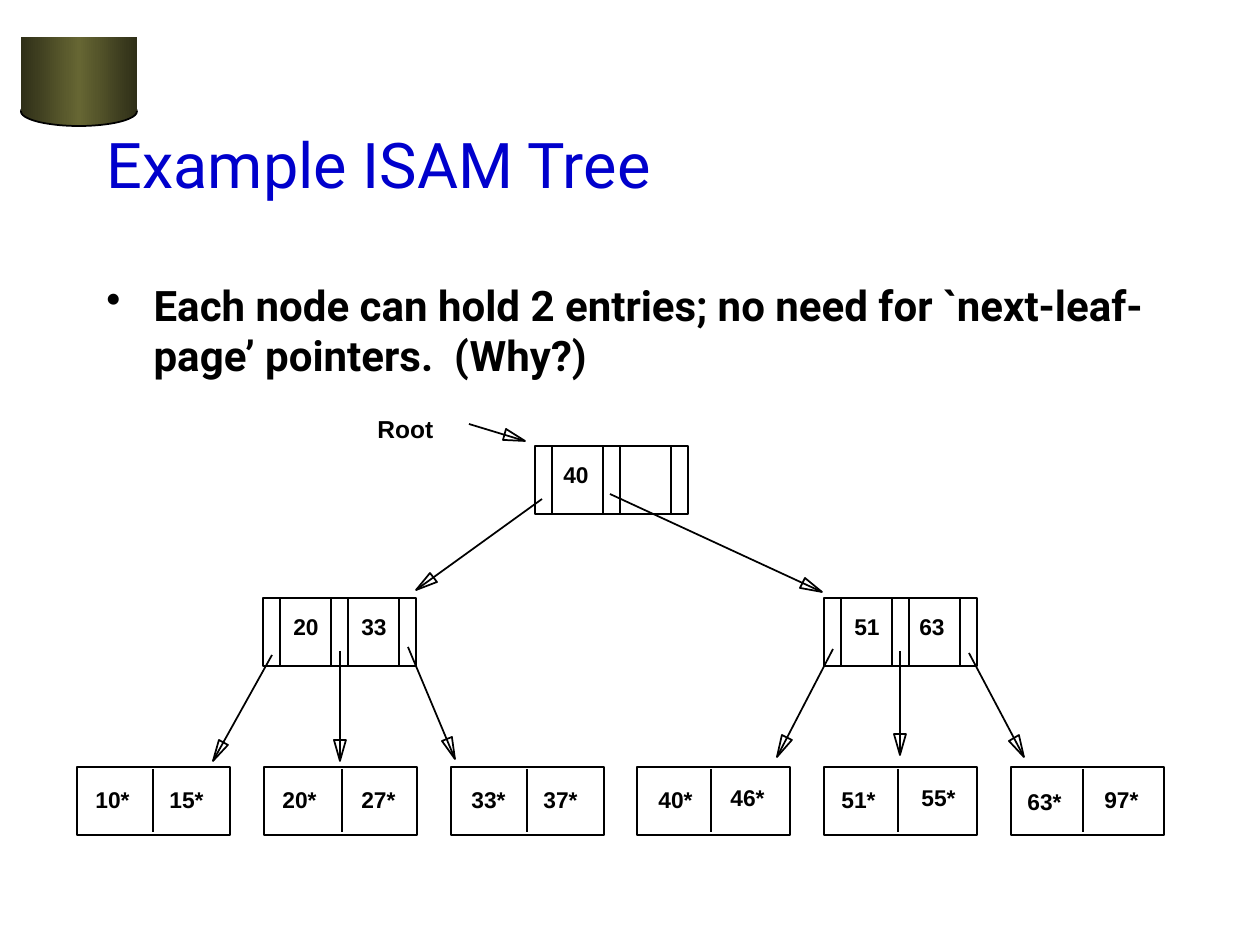
from copy import deepcopy
from math import hypot

from lxml import etree
from pptx import Presentation, util as u
from pptx.dml import color
from pptx.enum import shapes, text
from pptx.oxml import ns

SCALE = 914400 / 126


def px(length):
    return u.Emu(round(length * SCALE))


def rgb(value):
    return color.RGBColor.from_string(value)


class Diagram:
    ink = "000000"
    accent = "0000CC"
    edge, middle = "2F2F18", "666633"
    heading_font, label_font = "Roboto", "Arial"
    line_width = u.Pt(1)

    def __init__(self, slide):
        self.slide = slide
        self.shapes = slide.shapes

    def font(self, paragraph, name, size, hue, bold=False):
        paragraph.alignment = text.PP_ALIGN.LEFT
        font = paragraph.font
        font.name, font.size, font.bold = name, u.Pt(size), bold
        font.color.rgb = rgb(hue)

    def outline(self, shape):
        shape.line.color.rgb = rgb(self.ink)
        shape.line.width = self.line_width

    def title(self, words, x, y, w, h):
        title = self.shapes.title
        title.left, title.top, title.width, title.height = map(px, (x, y, w, h))
        frame = title.text_frame
        frame.text = words
        frame.auto_size = text.MSO_AUTO_SIZE.NONE
        frame.vertical_anchor = text.MSO_ANCHOR.MIDDLE
        self.font(frame.paragraphs[0], self.heading_font, 36, self.accent)

    def bullet(self, words, x, y, w, h):
        frame = self.shapes.add_textbox(*map(px, (x, y, w, h))).text_frame
        frame.word_wrap = True
        frame.text = words
        paragraph = frame.paragraphs[0]
        self.font(paragraph, self.heading_font, 24, self.ink, True)
        paragraph.space_before = u.Pt(6)
        props = paragraph._p.get_or_add_pPr()
        props.set("marL", "342900")
        props.set("indent", "-342900")
        mark = etree.Element(ns.qn("a:buChar"), char="•")
        props.find(ns.qn("a:defRPr")).addprevious(mark)

    def label(self, words, x, y, w, h=40, size=13):
        frame = self.shapes.add_textbox(*map(px, (x, y, w, h))).text_frame
        frame.word_wrap = False
        frame.auto_size = text.MSO_AUTO_SIZE.SHAPE_TO_FIT_TEXT
        frame.text = words
        self.font(frame.paragraphs[0], self.label_font, size, self.ink, True)

    def box(self, x, y, w, h):
        box = self.shapes.add_shape(shapes.MSO_SHAPE.RECTANGLE, *map(px, (x, y, w, h)))
        box.shadow.inherit = False
        box.fill.background()
        self.outline(box)

    def line(self, x1, y1, x2, y2):
        line = self.shapes.add_connector(
            shapes.MSO_CONNECTOR.STRAIGHT, *map(px, (x1, y1, x2, y2)))
        self.outline(line)
        etree.SubElement(line._element.spPr, ns.qn("a:effectLst"))

    def arrow(self, x1, y1, x2, y2, length=21.5, half=5.5):
        self.line(x1, y1, x2, y2)
        reach = hypot(x2 - x1, y2 - y1)
        dx, dy = (x2 - x1) / reach, (y2 - y1) / reach
        base_x, base_y = x2 - dx * length, y2 - dy * length
        builder = self.shapes.build_freeform(x2, y2, SCALE)
        builder.add_line_segments([
            (base_x - dy * half, base_y + dx * half),
            (base_x + dy * half, base_y - dx * half)])
        head = builder.convert_to_shape()
        head.shadow.inherit = False
        head.fill.background()
        self.outline(head)

    def metal(self, kind, x, y, w, h, outlined):
        part = self.shapes.add_shape(kind, *map(px, (x, y, w, h)))
        part.shadow.inherit = False
        part.fill.gradient()
        part.fill.gradient_angle = 0
        first, last = part.fill.gradient_stops
        for stop, position in ((first, 0), (last, 1)):
            stop.color.rgb = rgb(self.edge)
            stop.position = position
        first_gs = part._element.spPr.find(".//" + ns.qn("a:gs"))
        first_gs.addnext(deepcopy(first_gs))
        center = part.fill.gradient_stops[1]
        center.color.rgb = rgb(self.middle)
        center.position = 0.5
        if outlined:
            self.outline(part)
        else:
            part.line.fill.background()


NODE_W, NODE_H = 153, 68
LEAF_TOP = 767

INDEX_NODES = [
    (535, 446, [("40", 16)]),
    (263, 598, [("20", 18), ("33", 86)]),
    (824, 598, [("51", 18), ("63", 83)]),
]
LEAVES = [
    (153, ("10*", 83, 780), ("15*", 157, 780)),
    (342, ("20*", 270, 780), ("27*", 349, 780)),
    (527, ("33*", 459, 780), ("37*", 531, 780)),
    (711, ("40*", 646, 780), ("46*", 718, 778)),
    (898, ("51*", 829, 780), ("55*", 909, 778)),
    (1083, ("63*", 1015, 782), ("97*", 1092, 780)),
]
POINTERS = [
    (469, 424, 525, 441),
    (542, 499, 416, 590),
    (610, 494, 822, 592),
    (272, 655, 213, 761),
    (340, 651, 340, 761),
    (408, 647, 455, 759),
    (833, 649, 777, 757),
    (900, 651, 900, 755),
    (969, 653, 1024, 757),
]

deck = Presentation()
deck.slide_width, deck.slide_height = px(1260), px(945)
tree = Diagram(deck.slides.add_slide(deck.slide_layouts[5]))

tree.metal(shapes.MSO_SHAPE.OVAL, 21, 97, 116, 29, True)
tree.metal(shapes.MSO_SHAPE.RECTANGLE, 21, 37, 116, 74, False)
tree.title("Example ISAM Tree", 94, 84, 1071, 158)
tree.bullet("Each node can hold 2 entries; no need for `next-leaf-page’ pointers.  (Why?)",
            94, 273, 1071, 567)

for left, top, keys in INDEX_NODES:
    tree.box(left, top, NODE_W, NODE_H)
    for offset in (17, 68, 85, 136):
        tree.line(left + offset, top, left + offset, top + NODE_H)
    for key, offset in keys:
        tree.label(key, left + offset, top + 9, 50)

for index, (divider, *entries) in enumerate(LEAVES):
    tree.box(round(77 + 186.8 * index), LEAF_TOP, NODE_W, NODE_H)
    tree.line(divider, LEAF_TOP + 2, divider, LEAF_TOP + 65)
    for entry, left, top in entries:
        tree.label(entry, left, top, 59)

for pointer in POINTERS:
    tree.arrow(*pointer)
tree.label("Root", 365, 408, 82, 42, 14)

deck.save("out.pptx")
